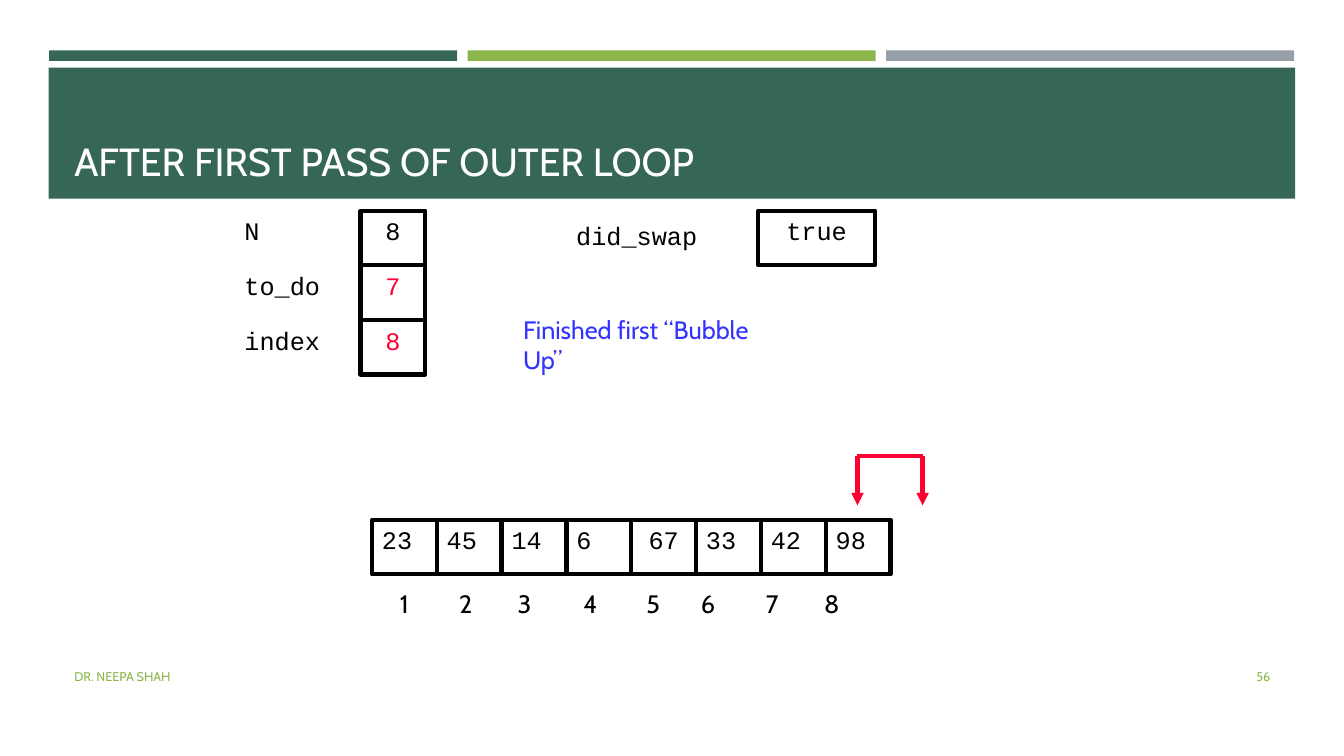
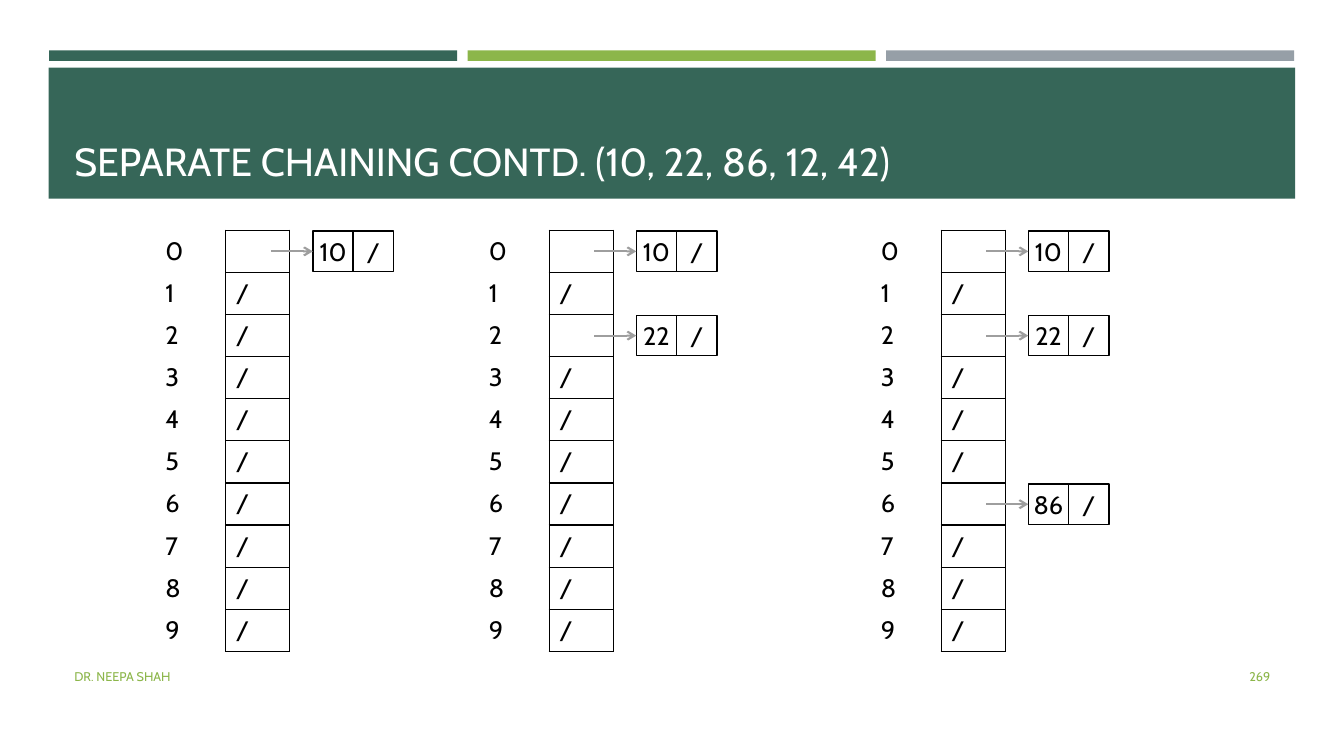
import dataclasses

import lxml.etree
import pptx
import pptx.dml.color
import pptx.enum.shapes
import pptx.enum.text
import pptx.oxml.ns
import pptx.util

Pt = pptx.util.Pt
Align = pptx.enum.text.PP_ALIGN
Anchor = pptx.enum.text.MSO_ANCHOR
qn = pptx.oxml.ns.qn


@dataclasses.dataclass(frozen=True)
class Theme:
    green: str = "366658"
    lime: str = "8CB64A"
    gray: str = "969FA7"
    white: str = "FFFFFF"
    black: str = "000000"
    red: str = "FF0033"
    blue: str = "3333FF"
    arrow: str = "9E9E9E"
    sans: str = "Cabin"
    mono: str = "Courier New"
    title_size: float = 28
    body_size: float = 18
    footer_size: float = 9


THEME = Theme()


@dataclasses.dataclass(frozen=True)
class Area:
    left: float
    top: float
    width: float
    height: float

    def lengths(self) -> tuple:
        return Pt(self.left), Pt(self.top), Pt(self.width), Pt(self.height)


@dataclasses.dataclass(frozen=True)
class Style:
    font: str = THEME.sans
    size: float = THEME.body_size
    color: str = THEME.black
    align: Align = Align.LEFT
    anchor: Anchor = Anchor.TOP


@dataclasses.dataclass(frozen=True)
class Variable:
    name: str
    value: str
    color: str


@dataclasses.dataclass(frozen=True)
class HashTable:
    left: float
    chains: dict[int, str]


CODE = Style(font=THEME.mono)
CODE_CENTER = dataclasses.replace(CODE, align=Align.CENTER)
MIDDLE = Style(anchor=Anchor.MIDDLE)
NODE_TEXT = Style(align=Align.CENTER, anchor=Anchor.MIDDLE)
TITLE = Style(size=THEME.title_size, color=THEME.white, anchor=Anchor.BOTTOM)
FOOTER = Style(size=THEME.footer_size, color=THEME.lime, anchor=Anchor.MIDDLE)
PAGE_NUMBER = dataclasses.replace(FOOTER, align=Align.RIGHT)


def rgb(color: str) -> pptx.dml.color.RGBColor:
    return pptx.dml.color.RGBColor.from_string(color)


# Drawing helpers
def write(frame, text: str, style: Style) -> None:
    frame.word_wrap = True
    frame.vertical_anchor = style.anchor
    para = frame.paragraphs[0]
    para.alignment = style.align
    span = para.add_run()
    span.text = text
    span.font.name = style.font
    span.font.size = Pt(style.size)
    span.font.color.rgb = rgb(style.color)


def add_text(page, area: Area, text: str, style: Style):
    box = page.shapes.add_textbox(*area.lengths())
    write(box.text_frame, text, style)
    return box


def add_rectangle(page, area: Area):
    box = page.shapes.add_shape(
        pptx.enum.shapes.MSO_SHAPE.RECTANGLE, *area.lengths())
    box.shadow.inherit = False
    return box


def add_band(page, area: Area, color: str) -> None:
    band = add_rectangle(page, area)
    band.fill.solid()
    band.fill.fore_color.rgb = rgb(color)
    band.line.fill.background()


def add_cell(page, area: Area, text: str, style: Style, weight: float,
             inset: bool = True) -> None:
    box = add_rectangle(page, area)
    box.fill.background()
    box.line.color.rgb = rgb(THEME.black)
    box.line.width = Pt(weight)
    frame = box.text_frame
    if not inset:
        frame.margin_left = frame.margin_right = Pt(0)
        frame.margin_top = frame.margin_bottom = Pt(0)
    write(frame, text, style)


def add_line(page, start: tuple[float, float], end: tuple[float, float],
             color: str, weight: float, arrowhead: str = "") -> None:
    line = page.shapes.add_connector(
        pptx.enum.shapes.MSO_CONNECTOR.STRAIGHT,
        Pt(start[0]), Pt(start[1]), Pt(end[0]), Pt(end[1]))
    line.line.color.rgb = rgb(color)
    line.line.width = Pt(weight)
    properties = line.element.spPr
    if arrowhead:
        lxml.etree.SubElement(
            properties.find(qn("a:ln")), qn("a:tailEnd"), type=arrowhead)
    lxml.etree.SubElement(properties, qn("a:effectLst"))


def set_borders(cell, sides: str) -> None:
    properties = cell._tc.get_or_add_tcPr()
    for side in sides:
        border = lxml.etree.SubElement(
            properties, qn(f"a:ln{side}"), w=str(Pt(1)))
        fill = lxml.etree.SubElement(border, qn("a:solidFill"))
        lxml.etree.SubElement(fill, qn("a:srgbClr"), val=THEME.black)


# Bands, title and footer of every page
def add_page(deck, title: str, number: str):
    page = deck.slides.add_slide(deck.slide_layouts[6])
    for index, color in enumerate((THEME.green, THEME.lime, THEME.gray)):
        add_band(page, Area(35 + 299 * index, 36, 291.5, 7.5), color)
    add_band(page, Area(34.7, 48.4, 890.5, 93.6), THEME.green)
    add_text(page, Area(46, 55.5, 868, 80), title, TITLE)
    add_text(page, Area(46, 469, 544, 29), "DR. NEEPA SHAH", FOOTER)
    add_text(page, Area(831.5, 469, 83, 29), number, PAGE_NUMBER)
    return page


# Bubble sort
CELL_WIDTH, CELL_HEIGHT = 46.3, 39
VARIABLES = (
    Variable("N", "8", THEME.black),
    Variable("to_do", "7", THEME.red),
    Variable("index", "8", THEME.red),
)
VALUES = ("23", "45", "14", "6", "67", "33", "42", "98")
INDEX_TABS = (47, 89, 136, 181, 220, 266, 308.5)


def add_index_row(page) -> None:
    labels = "\t".join(str(index + 1) for index in range(len(VALUES)))
    box = add_text(page, Area(278.6, 417, 385, 29), labels, Style())
    properties = box.text_frame.paragraphs[0]._p.get_or_add_pPr()
    stops = lxml.etree.SubElement(properties, qn("a:tabLst"))
    for position in INDEX_TABS:
        lxml.etree.SubElement(
            stops, qn("a:tab"), pos=str(Pt(position)), algn="ctr")


def add_bubble_page(deck) -> None:
    page = add_page(deck, "AFTER FIRST PASS OF OUTER LOOP", "56")

    # Variables
    top = 150.5
    for row, variable in enumerate(VARIABLES):
        row_top = top + row * CELL_HEIGHT
        add_text(page, Area(167.5, row_top, 70, 29), variable.name, CODE)
        style = dataclasses.replace(CODE_CENTER, color=variable.color)
        add_cell(page, Area(257.5, row_top, CELL_WIDTH, CELL_HEIGHT),
                 variable.value, style, 3)
    add_text(page, Area(404.5, 153.5, 145, 29), "did_swap", CODE)
    add_cell(page, Area(541.5, top, 83.5, CELL_HEIGHT), "true", CODE_CENTER, 3)
    add_text(page, Area(366.5, 221, 203.5, 29),
             "Finished first “Bubble Up”", Style(color=THEME.blue))

    # Array
    for index, value in enumerate(VALUES):
        area = Area(265.7 + index * CELL_WIDTH, 371.3, CELL_WIDTH, CELL_HEIGHT)
        add_cell(page, area, value, CODE_CENTER if value == "67" else CODE, 3)
    add_index_row(page)

    # Compared pair
    left, right, bar, tip = 612.5, 659, 326, 361
    for x in (left, right):
        add_line(page, (x, bar), (x, tip), THEME.red, 3, "triangle")
    add_line(page, (left, bar), (right, bar), THEME.red, 3)


# Separate chaining
TABLE_TOP, ROW_HEIGHT, ROW_COUNT = 164.5, 30.1, 10
COLUMN_WIDTHS = (50.3, 45.7)
NODE_SIZE, NODE_OFFSET, ARROW_LENGTH = 28.8, 112.5, 30
HASH_TABLES = (
    HashTable(111, {0: "10"}),
    HashTable(342, {0: "10", 2: "22"}),
    HashTable(622, {0: "10", 2: "22", 6: "86"}),
)


def add_hash_table(page, hash_table: HashTable) -> None:
    area = Area(hash_table.left, TABLE_TOP,
                sum(COLUMN_WIDTHS), ROW_HEIGHT * ROW_COUNT)
    table = page.shapes.add_table(ROW_COUNT, 2, *area.lengths()).table
    table.first_row = table.horz_banding = False
    for column, width in zip(table.columns, COLUMN_WIDTHS):
        column.width = Pt(width)
    for index, row in enumerate(table.rows):
        row.height = Pt(ROW_HEIGHT)
        slot = "" if index in hash_table.chains else "/"
        for cell, text, sides in zip(row.cells, (str(index), slot),
                                     ("R", "LRTB")):
            set_borders(cell, sides)
            cell.fill.background()
            cell.vertical_anchor = Anchor.MIDDLE
            if text:
                write(cell.text_frame, text, MIDDLE)


def add_chain(page, left: float, middle: float, key: str) -> None:
    for index, text in enumerate((key, "/")):
        area = Area(left + index * NODE_SIZE, middle - NODE_SIZE / 2,
                    NODE_SIZE, NODE_SIZE)
        add_cell(page, area, text, NODE_TEXT, 1, inset=False)
    add_line(page, (left - ARROW_LENGTH, middle), (left, middle),
             THEME.arrow, 1.5, "arrow")


def add_chaining_page(deck) -> None:
    page = add_page(
        deck, "SEPARATE CHAINING CONTD. (10, 22, 86, 12, 42)", "269")
    for hash_table in HASH_TABLES:
        add_hash_table(page, hash_table)
        for row, key in hash_table.chains.items():
            add_chain(page, hash_table.left + NODE_OFFSET,
                      TABLE_TOP + (row + 0.5) * ROW_HEIGHT, key)


def main() -> None:
    deck = pptx.Presentation()
    deck.slide_width, deck.slide_height = Pt(960), Pt(540)
    add_bubble_page(deck)
    add_chaining_page(deck)
    deck.save("out.pptx")


if __name__ == "__main__":
    main()
